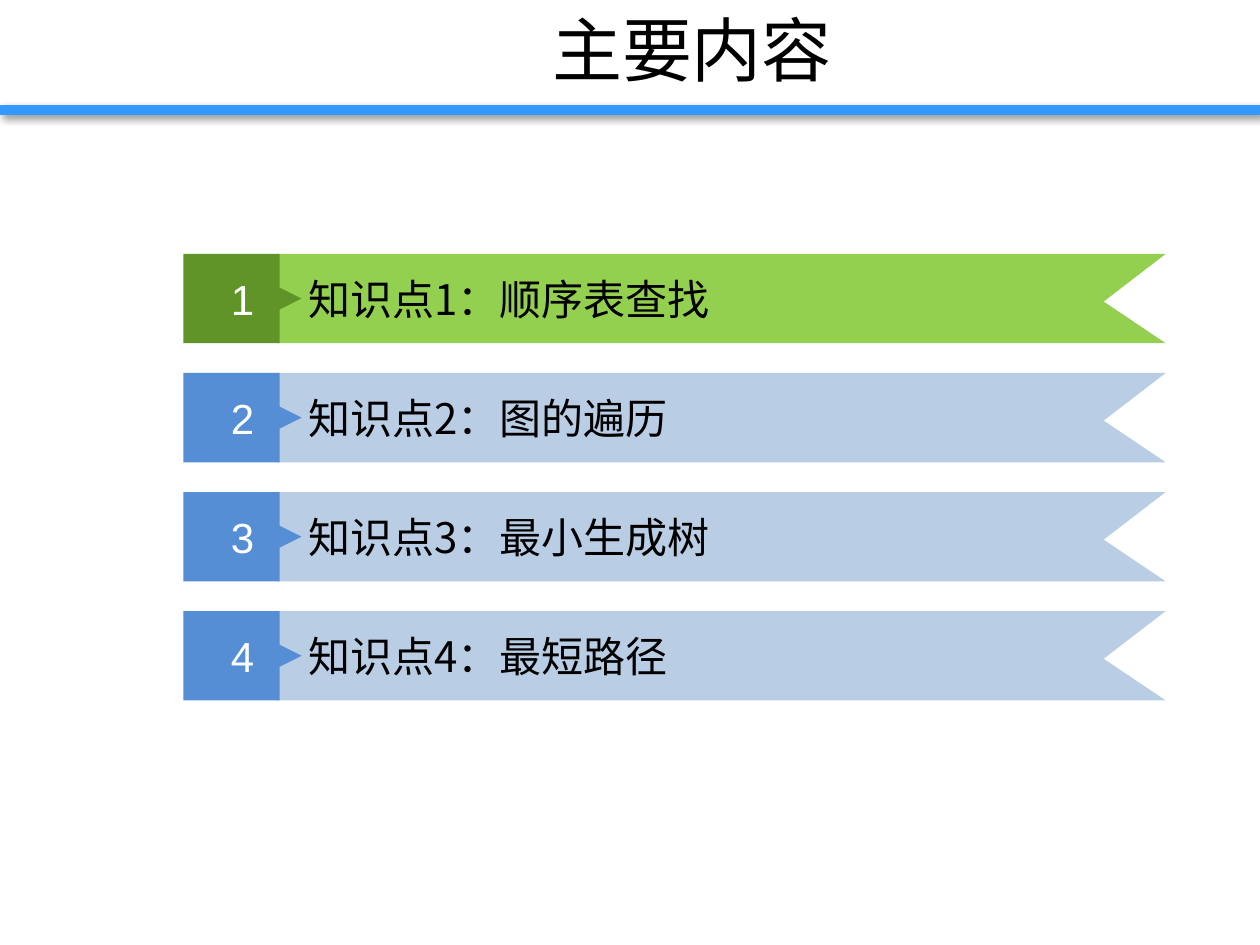
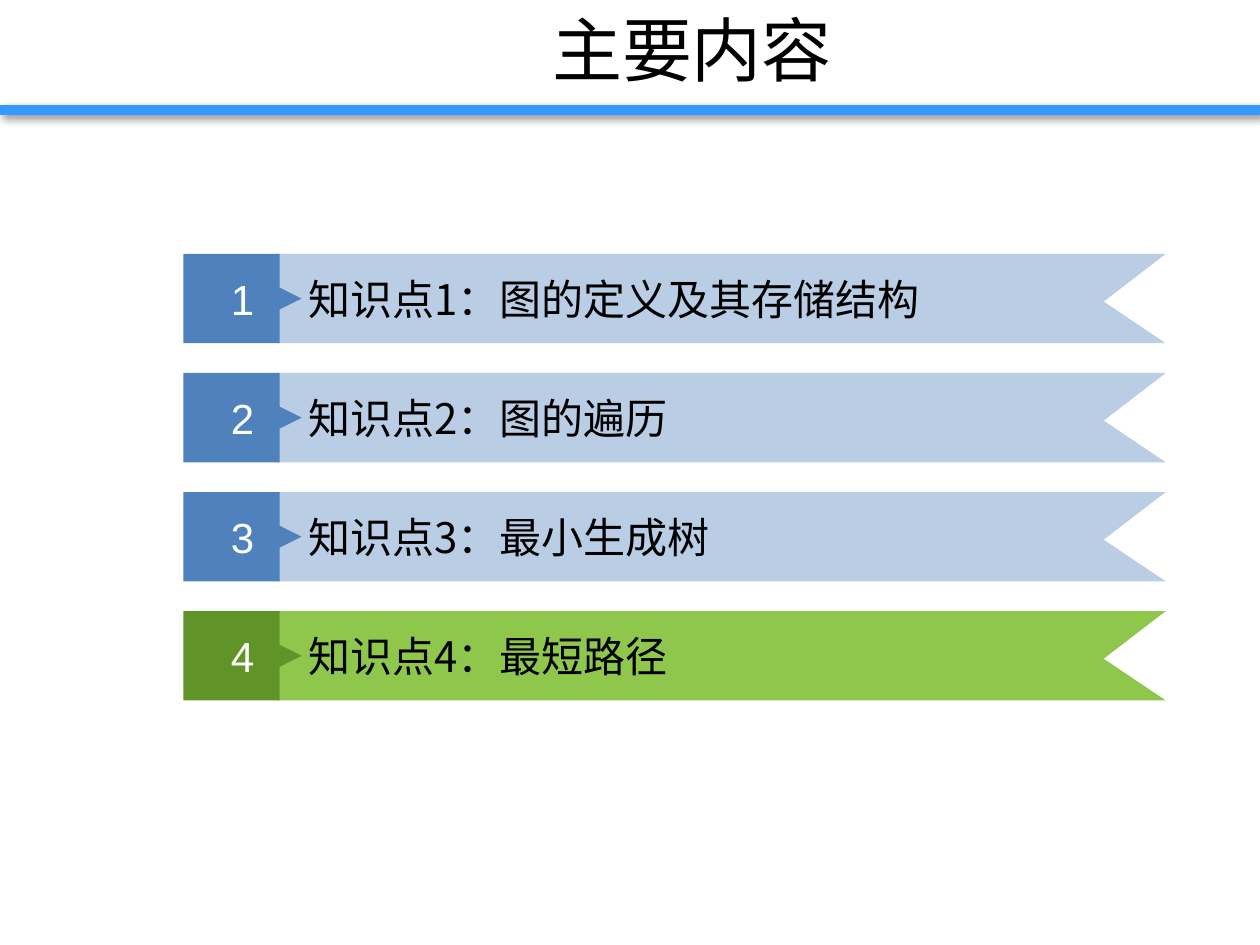
from dataclasses import dataclass

from lxml import etree
from pptx import Presentation
from pptx.dml.color import RGBColor
from pptx.enum.shapes import MSO_SHAPE
from pptx.enum.text import MSO_ANCHOR, PP_ALIGN
from pptx.oxml.ns import qn
from pptx.util import Cm, Pt

RECT = MSO_SHAPE.RECTANGLE
MIDDLE = MSO_ANCHOR.MIDDLE
LEFT, CENTER = PP_ALIGN.LEFT, PP_ALIGN.CENTER

# Content: topics in order, the current one, and the colours that vary
TITLE = "主要内容"
SLIDES = [
    {"topics": ["顺序表查找", "图的遍历", "最小生成树", "最短路径"],
     "current": 1, "tag": "558ED5", "current_ribbon": "93D050"},
    {"topics": ["图的定义及其存储结构", "图的遍历", "最小生成树", "最短路径"],
     "current": 4, "tag": "4F81BD", "current_ribbon": "8FC74D"},
]


@dataclass(frozen=True)
class Theme:
    band: str = "3399FF"
    ribbon: str = "B9CDE5"
    current_tag: str = "619428"
    text: str = "000000"
    number: str = "FFFFFF"
    cjk_font: str = "Noto Sans CJK SC"
    number_font: str = "Arial"
    title_size: int = 40
    topic_size: int = 24


THEME = Theme()

# Geometry in centimetres; outlines are relative to the top of a row
FIRST_ROW, ROW_STEP = 5.12, 2.4
RIBBON = [(5.59, 0), (23.5, 0), (22.25, 0.96), (23.5, 1.8), (5.59, 1.8)]
TAG = [(3.7, 0), (5.64, 0), (5.64, 0.68), (6.08, 0.9),
       (5.64, 1.12), (5.64, 1.8), (3.7, 1.8)]


def paint(sp, color):
    sp.shadow.inherit = False
    sp.fill.solid()
    sp.fill.fore_color.rgb = RGBColor.from_string(color)
    sp.line.fill.background()


def write(sp, text, size, font, color, align):
    tf = sp.text_frame
    tf.word_wrap = True
    tf.vertical_anchor = MIDDLE
    p = tf.paragraphs[0]
    p.alignment = align
    r = p.add_run()
    r.text = text
    r.font.size = Pt(size)
    r.font.name = font
    r.font.color.rgb = RGBColor.from_string(color)
    etree.SubElement(r.font._element, qn("a:ea"), typeface=font)
    return tf


def add_outline(s, points, top, color):
    pts = [(Cm(x), Cm(top + y)) for x, y in points]
    fb = s.shapes.build_freeform(*pts[0], scale=1.0)
    fb.add_line_segments(pts[1:], close=True)
    sp = fb.convert_to_shape()
    paint(sp, color)
    return sp


def add_band(s):
    sp = s.shapes.add_shape(RECT, 0, Cm(2.12), Cm(25.4), Cm(0.2))
    paint(sp, THEME.band)
    effects = sp._element.spPr.find(qn("a:effectLst"))
    shadow = etree.SubElement(effects, qn("a:outerShdw"), blurRad=str(Pt(4)),
                              dist=str(Pt(3)), dir="2700000", algn="tl",
                              rotWithShape="0")
    black = etree.SubElement(shadow, qn("a:srgbClr"), val="000000")
    etree.SubElement(black, qn("a:alpha"), val="40000")


def add_title(s):
    sp = s.shapes.add_textbox(Cm(2.5), 0, Cm(22.9), Cm(1.96))
    write(sp, TITLE, THEME.title_size, THEME.cjk_font, THEME.text, CENTER)


def add_topic(s, number, topic, ribbon_color, tag_color):
    top = FIRST_ROW + (number - 1) * ROW_STEP
    ribbon = add_outline(s, RIBBON, top, ribbon_color)
    tf = write(ribbon, f"知识点{number}：{topic}", THEME.topic_size,
               THEME.cjk_font, THEME.text, LEFT)
    tf.margin_left = Cm(0.63)
    tag = add_outline(s, TAG, top, tag_color)
    write(tag, str(number), THEME.topic_size, THEME.number_font,
          THEME.number, CENTER)


def main():
    prs = Presentation()
    prs.slide_width, prs.slide_height = Cm(25.4), Cm(19.05)
    for content in SLIDES:
        s = prs.slides.add_slide(prs.slide_layouts[6])
        add_band(s)
        add_title(s)
        for number, topic in enumerate(content["topics"], 1):
            if number == content["current"]:
                colors = content["current_ribbon"], THEME.current_tag
            else:
                colors = THEME.ribbon, content["tag"]
            add_topic(s, number, topic, *colors)
    prs.save("out.pptx")


if __name__ == "__main__":
    main()
